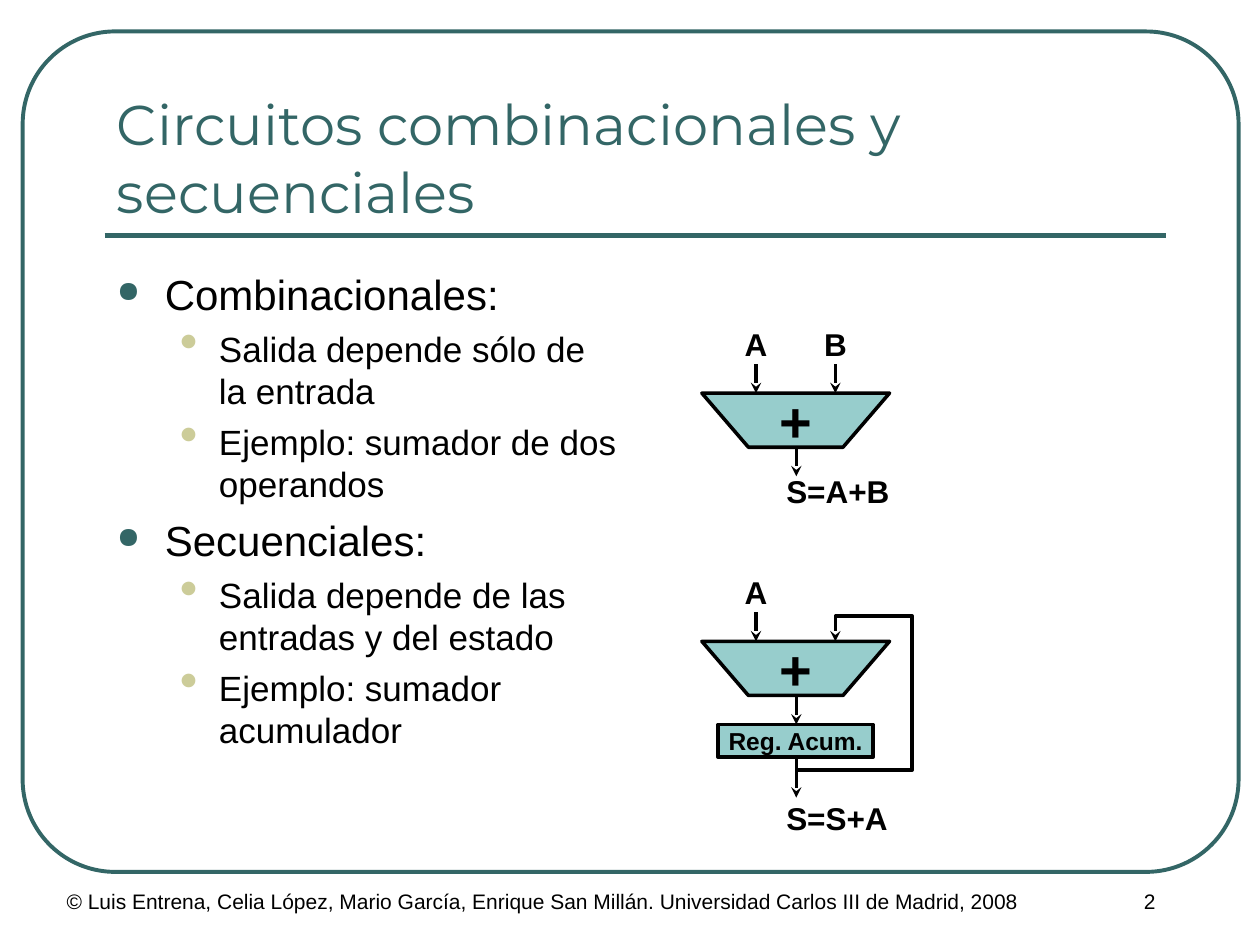
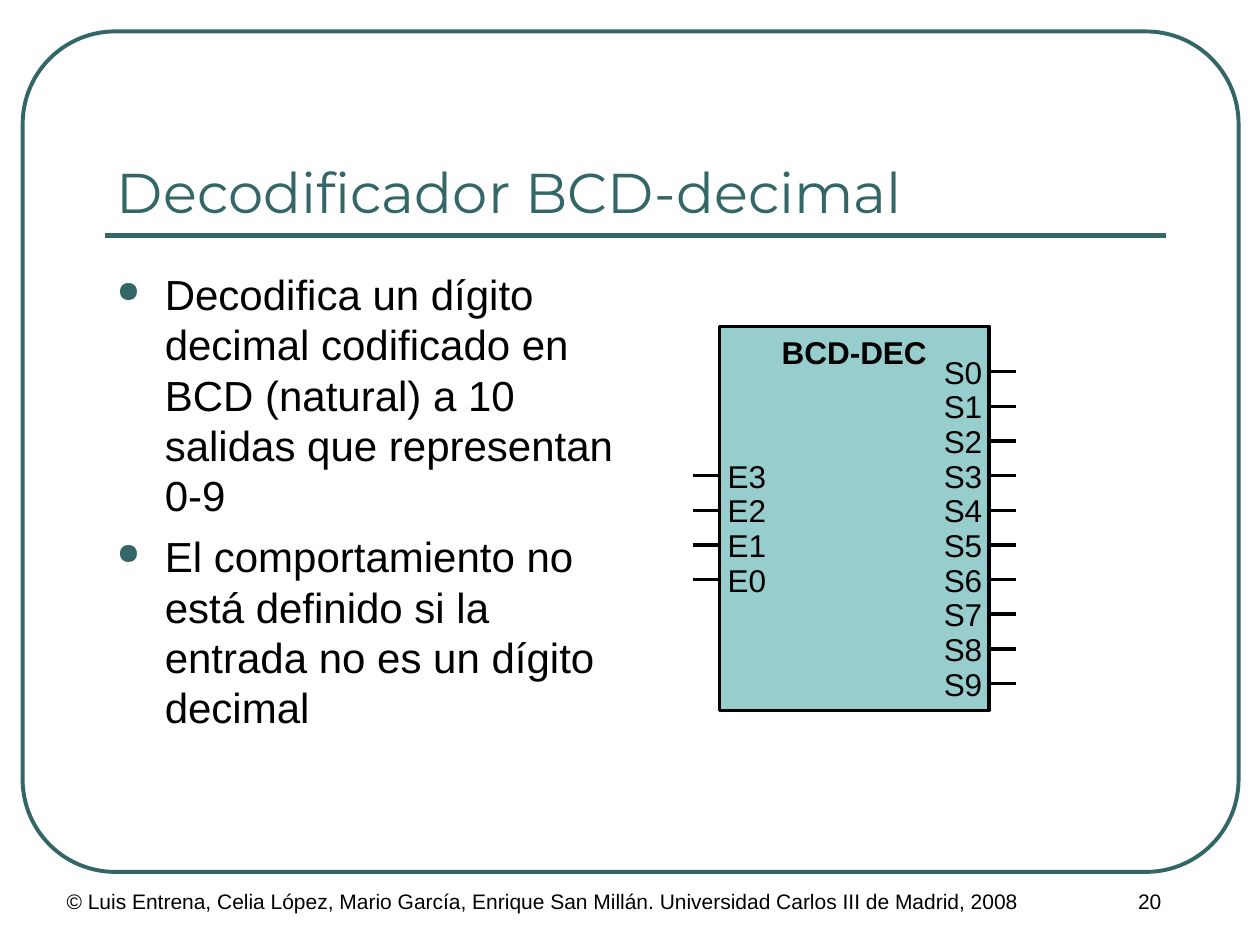
from lxml import etree
from pptx import Presentation
from pptx.dml.color import RGBColor
from pptx.enum.shapes import MSO_CONNECTOR, MSO_SHAPE
from pptx.enum.text import MSO_ANCHOR, PP_ALIGN
from pptx.oxml.ns import qn
from pptx.util import Inches, Pt

TEAL = RGBColor(0x33, 0x66, 0x66)
SAND = RGBColor(0xCC, 0xCC, 0x99)
AQUA = RGBColor(0x97, 0xCD, 0xCC)
BLACK = RGBColor(0x00, 0x00, 0x00)
WHITE = RGBColor(0xFF, 0xFF, 0xFF)
LEFT, CENTER, RIGHT = PP_ALIGN.LEFT, PP_ALIGN.CENTER, PP_ALIGN.RIGHT
TOP, MIDDLE, BOTTOM = MSO_ANCHOR.TOP, MSO_ANCHOR.MIDDLE, MSO_ANCHOR.BOTTOM
STRAIGHT = MSO_CONNECTOR.STRAIGHT
RECTANGLE, ROUNDED = MSO_SHAPE.RECTANGLE, MSO_SHAPE.ROUNDED_RECTANGLE

BODY_FONT, TITLE_FONT = "Arial", "Montserrat"
CREDIT = ("© Luis Entrena, Celia López, Mario García, Enrique San Millán. "
          "Universidad Carlos III de Madrid, 2008")

# Per level: indent, hanging, bullet, bullet colour, bullet size, text size, space before
LEVELS = [
    (0.38, 0.38, "●", TEAL, 70, 24, 6),
    (0.81, 0.31, "•", SAND, 150, 20, 5),
]

PAGES = [
    ("Circuitos combinacionales y secuenciales", "2", 4.17, [
        (0, "Combinacionales:"),
        (1, "Salida depende sólo de la entrada"),
        (1, "Ejemplo: sumador de dos operandos"),
        (0, "Secuenciales:"),
        (1, "Salida depende de las entradas y del estado"),
        (1, "Ejemplo: sumador acumulador"),
    ]),
    ("Decodificador BCD-decimal", "20", 4.26, [
        (0, "Decodifica un dígito decimal codificado en BCD (natural) a 10 "
            "salidas que representan 0-9"),
        (0, "El comportamiento no está definido si la entrada no es un "
            "dígito decimal"),
    ]),
]


def draw(shape, color=BLACK, width=2, fill=None, arrow=False):
    """Set outline, optional fill and end arrowhead, and remove the shadow."""
    if fill is not None:
        shape.fill.solid()
        shape.fill.fore_color.rgb = fill
    shape.line.color.rgb = color
    shape.line.width = Pt(width)
    properties = shape._element.spPr
    if arrow:
        etree.SubElement(properties.find(qn("a:ln")), qn("a:tailEnd"), type="stealth")
    etree.SubElement(properties, qn("a:effectLst"))
    return shape


def write(shape, text, size=18, bold=False, align=LEFT, anchor=MIDDLE,
          margins=(0, 0), wrap=False, font=BODY_FONT, color=BLACK):
    frame = shape.text_frame
    frame.word_wrap = wrap
    frame.vertical_anchor = anchor
    frame.margin_left = frame.margin_right = Inches(margins[0])
    frame.margin_top = frame.margin_bottom = Inches(margins[1])
    paragraph = frame.paragraphs[0]
    paragraph.text = text
    paragraph.alignment = align
    paragraph.font.name = font
    paragraph.font.size = Pt(size)
    paragraph.font.bold = bold
    paragraph.font.color.rgb = color


prs = Presentation()
prs.slide_width, prs.slide_height = Inches(10), Inches(7.5)
PADDED = (0.1, 0.05)

# Frame, title, bullets and footer of both slides
for title, number, body_width, bullets in PAGES:
    shapes = prs.slides.add_slide(prs.slide_layouts[6]).shapes
    border = shapes.add_shape(ROUNDED, Inches(0.18), Inches(0.25), Inches(9.65), Inches(6.67))
    border.adjustments[0] = 0.11
    draw(border, TEAL, 2.25, WHITE)
    draw(shapes.add_connector(STRAIGHT, Inches(0.83), Inches(1.87), Inches(9.25), Inches(1.87)),
         TEAL, 3)
    write(shapes.add_textbox(Inches(0.83), Inches(0.58), Inches(8.42), Inches(1.25)),
          title, 32, anchor=BOTTOM, margins=PADDED, wrap=True, font=TITLE_FONT, color=TEAL)
    for left, width, text, align in ((0.43, 8.5, CREDIT, LEFT), (8.25, 1.75, number, CENTER)):
        write(shapes.add_textbox(Inches(left), Inches(7), Inches(width), Inches(0.5)),
              text, 12, align=align, anchor=TOP, margins=PADDED, wrap=True)

    body = shapes.add_textbox(Inches(0.83), Inches(2.08), Inches(body_width), Inches(4.4)).text_frame
    body.word_wrap = True
    for index, (level, text) in enumerate(bullets):
        indent, hanging, mark, mark_color, mark_size, size, space = LEVELS[level]
        paragraph = body.add_paragraph() if index else body.paragraphs[0]
        paragraph.text = text
        paragraph.level = level
        if index:
            paragraph.space_before = Pt(space)
        settings = paragraph._p.get_or_add_pPr()
        settings.set("marL", str(Inches(indent)))
        settings.set("indent", str(-Inches(hanging)))
        bullet_color = etree.SubElement(settings, qn("a:buClr"))
        etree.SubElement(bullet_color, qn("a:srgbClr"), val=str(mark_color))
        etree.SubElement(settings, qn("a:buSzPct"), val=str(mark_size * 1000))
        etree.SubElement(settings, qn("a:buChar"), char=mark)
        paragraph.font.name = BODY_FONT
        paragraph.font.size = Pt(size)
        paragraph.font.color.rgb = BLACK

circuits, decoder = [slide.shapes for slide in prs.slides]

# Combinational adder above, accumulator below
A_X, B_X, SUM_X = 6, 6.63, 6.32
ADDER_TOPS = COMBINATIONAL, SEQUENTIAL = 3.12, 5.09
arrows = [(B_X, COMBINATIONAL - 0.23, COMBINATIONAL), (SUM_X, 6.01, 6.33)]
labels = [("B", 6.54, 2.58, 0.18), ("S=A+B", 6.24, 3.75, 0.82), ("S=S+A", 6.24, 6.34, 0.82)]
for top in ADDER_TOPS:
    outline = circuits.build_freeform(Inches(5.57), Inches(top))
    outline.add_line_segments([(Inches(x), Inches(y)) for x, y in (
        (5.94, top + 0.43), (6.69, top + 0.43), (7.06, top))])
    adder = draw(outline.convert_to_shape(), fill=AQUA)
    write(adder, "+", 32, True, CENTER, margins=PADDED)
    arrows += [(A_X, top - 0.23, top), (SUM_X, top + 0.43, top + 0.66)]
    labels.append(("A", 5.91, top - 0.54, 0.18))

for x, start, end in arrows:
    draw(circuits.add_connector(STRAIGHT, Inches(x), Inches(start), Inches(x), Inches(end)),
         arrow=True)
for text, left, top, width in labels:
    write(circuits.add_textbox(Inches(left), Inches(top), Inches(width), Inches(0.3)),
          text, bold=True)

register = circuits.add_shape(RECTANGLE, Inches(5.7), Inches(5.75), Inches(1.23), Inches(0.26))
write(draw(register, fill=AQUA), "Reg. Acum.", 14, True, CENTER, margins=PADDED)

feedback = circuits.build_freeform(Inches(SUM_X), Inches(6.11))
feedback.add_line_segments([(Inches(x), Inches(y)) for x, y in (
    (7.24, 6.11), (7.24, 4.89), (B_X, 4.89), (B_X, SEQUENTIAL))], close=False)
loop = draw(feedback.convert_to_shape(), arrow=True)
loop.fill.background()

# Decoder block with its pins; inputs line up with outputs S3 to S6
CHIP_LEFT, CHIP_RIGHT, PIN_LENGTH, PITCH = 5.71, 7.85, 0.21, 0.275
chip = decoder.add_shape(RECTANGLE, Inches(CHIP_LEFT), Inches(2.59),
                         Inches(CHIP_RIGHT - CHIP_LEFT), Inches(3.05))
write(draw(chip, fill=AQUA), "BCD-DEC", 18, True, CENTER, TOP, PADDED)

outputs = [(f"S{row}", row, CHIP_RIGHT, 7.49, LEFT) for row in range(10)]
inputs = [(f"E{6 - row}", row, CHIP_LEFT - PIN_LENGTH, 5.77, RIGHT) for row in range(3, 7)]
for name, row, pin_left, name_left, align in outputs + inputs:
    y = 2.95 + row * PITCH
    draw(decoder.add_connector(STRAIGHT, Inches(pin_left), Inches(y),
                               Inches(pin_left + PIN_LENGTH), Inches(y)))
    write(decoder.add_textbox(Inches(name_left), Inches(y - 0.15), Inches(0.31), Inches(0.3)),
          name, align=align)

prs.save("out.pptx")
